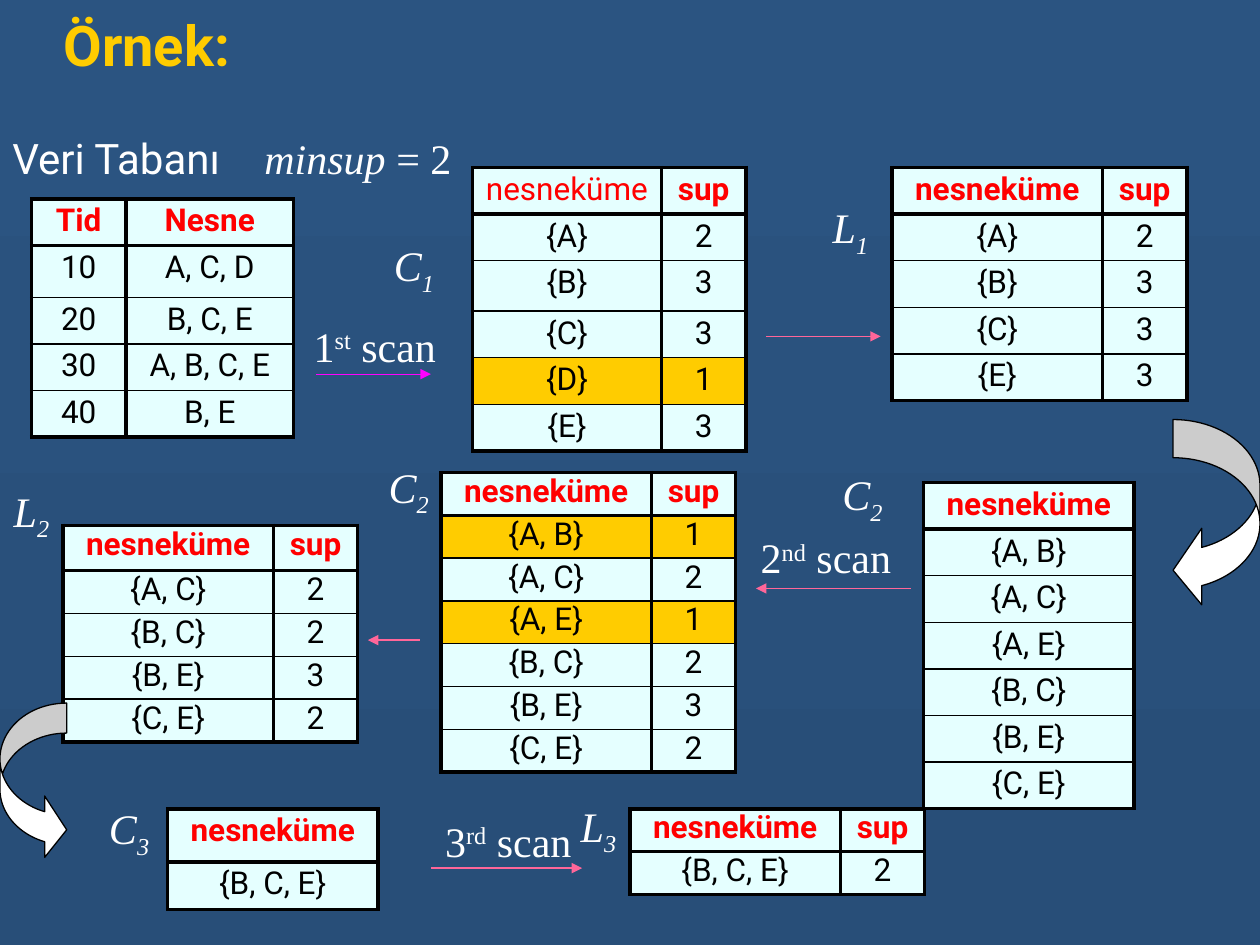
from lxml import etree
from pptx import Presentation
from pptx.dml.color import RGBColor
from pptx.enum.shapes import MSO_CONNECTOR, MSO_SHAPE
from pptx.enum.text import MSO_ANCHOR, MSO_AUTO_SIZE, PP_ALIGN
from pptx.oxml.ns import qn
from pptx.util import Inches, Pt

CENTER, LEFT = PP_ALIGN.CENTER, PP_ALIGN.LEFT
MIDDLE = MSO_ANCHOR.MIDDLE
NO_FIT, GROW = MSO_AUTO_SIZE.NONE, MSO_AUTO_SIZE.SHAPE_TO_FIT_TEXT
STRAIGHT = MSO_CONNECTOR.STRAIGHT
RIGHT_CURVE, LEFT_CURVE = MSO_SHAPE.CURVED_RIGHT_ARROW, MSO_SHAPE.CURVED_LEFT_ARROW

SANS, SERIF = "Roboto", "Times New Roman"
COLORS = {
    "top": "2B5481", "bottom": "284E78", "gold": "FFCC00", "cell": "E5FFFF",
    "header": "FF0000", "ink": "000000", "white": "FFFFFF",
    "magenta": "FF00FF", "pink": "FF6699",
}
MINSUP = 2
ITEM, SUP = 1.67, 0.67
HEADER = ("nesneküme", "sup")
PAIRS = ("{A, B}", "{A, C}", "{A, E}", "{B, C}", "{B, E}", "{C, E}")


def color(name):
    return RGBColor.from_string(COLORS[name])


def add_span(para, text, *, size=24, font=SERIF, ink="white", bold=False,
             italic=False, baseline=0):
    span = para.add_run()
    span.text = text
    span.font.size = Pt(size)
    span.font.name = font
    span.font.bold = bold
    span.font.italic = italic
    span.font.color.rgb = color(ink)
    if baseline:
        span._r.get_or_add_rPr().set("baseline", str(baseline * 1000))


def add_label(page, left, top, width, spans, *, align=CENTER, wrap=False):
    box = page.shapes.add_textbox(Inches(left), Inches(top), Inches(width), Inches(0.5))
    frame = box.text_frame
    frame.word_wrap = wrap
    frame.auto_size = GROW
    frame.vertical_anchor = MIDDLE
    para = frame.paragraphs[0]
    para.alignment = align
    for text, style in spans:
        add_span(para, text, **style)


def add_set_name(page, letter, index, left, top):
    width = 0.53 if letter == "C" else 0.5
    add_label(page, left, top, width, [
        (letter, {"italic": True}), (index, {"italic": True, "baseline": -25})])


def add_scan(page, number, ordinal, left, top, width):
    add_label(page, left, top, width, [
        (number, {}), (ordinal, {"baseline": 30}), (" scan", {})])


def add_borders(cell, row, last):
    properties = cell._tc.get_or_add_tcPr()
    widths = {
        "lnL": 2.25,
        "lnR": 2.25,
        "lnT": 2.25 if row <= 1 else 1,
        "lnB": 2.25 if row in (0, last) else 1,
    }
    for side, width in widths.items():
        line = etree.SubElement(properties, qn(f"a:{side}"), w=str(Pt(width)))
        fill = etree.SubElement(line, qn("a:solidFill"))
        etree.SubElement(fill, qn("a:srgbClr"), val=COLORS["ink"])


def add_grid(page, left, top, widths, rows, *, spacing=0.9, heights=None,
             light_headers=()):
    row_height = 0.37 if spacing == 0.9 else 0.34
    sizes = [(heights or {}).get(index, row_height) for index in range(len(rows))]
    table = page.shapes.add_table(
        len(rows), len(widths), Inches(left), Inches(top),
        Inches(sum(widths)), Inches(sum(sizes))).table
    table.first_row = table.horz_banding = False
    for column, width in zip(table.columns, widths):
        column.width = Inches(width)
    for index, (values, size) in enumerate(zip(rows, sizes)):
        table.rows[index].height = Inches(size)
        rare = values[-1].isdigit() and int(values[-1]) < MINSUP
        for place, text in enumerate(values):
            cell = table.cell(index, place)
            add_borders(cell, index, len(rows) - 1)
            cell.fill.solid()
            cell.fill.fore_color.rgb = color("gold" if rare else "cell")
            para = cell.text_frame.paragraphs[0]
            para.alignment = CENTER
            para.line_spacing = spacing
            add_span(para, text, size=18, font=SANS,
                     ink="ink" if index else "header",
                     bold=index == 0 and place not in light_headers)


def add_arrow(page, start, end, ink="pink"):
    arrow = page.shapes.add_connector(STRAIGHT, *map(Inches, start + end))
    arrow.line.color.rgb = color(ink)
    arrow.line.width = Pt(0.75)
    etree.SubElement(arrow.line._get_or_add_ln(), qn("a:tailEnd"), type="triangle")
    etree.SubElement(arrow._element.spPr, qn("a:effectLst"))


def add_curve(page, kind, bounds, adjustments):
    curve = page.shapes.add_shape(kind, *map(Inches, bounds))
    for index, value in enumerate(adjustments):
        curve.adjustments[index] = value
    curve.shadow.inherit = False
    curve.fill.solid()
    curve.fill.fore_color.rgb = color("white")
    curve.line.color.rgb = color("ink")
    curve.line.width = Pt(0.75)


def set_background(page):
    fill = page.background.fill
    fill.gradient()
    fill.gradient_angle = 270
    for stop, name in zip(fill.gradient_stops, ("top", "bottom")):
        stop.color.rgb = color(name)


def set_title(page, text):
    title = page.shapes.title
    title.left, title.top, title.width, title.height = map(Inches, (0, 0, 2.33, 0.7))
    frame = title.text_frame
    frame.auto_size = NO_FIT
    frame.vertical_anchor = MIDDLE
    para = frame.paragraphs[0]
    para.alignment = CENTER
    add_span(para, text, size=32, font=SANS, ink="gold", bold=True)


def add_tables(page):
    add_grid(page, 0.25, 1.58, (0.75, 1.33), [
        ("Tid", "Nesne"), ("10", "A, C, D"), ("20", "B, C, E"),
        ("30", "A, B, C, E"), ("40", "B, E")], heights={1: 0.41})
    add_grid(page, 3.75, 1.33, (1.5, SUP), [
        HEADER, ("{A}", "2"), ("{B}", "3"), ("{C}", "3"), ("{D}", "1"), ("{E}", "3")],
        heights={2: 0.4}, light_headers=(0,))
    add_grid(page, 7.08, 1.33, (ITEM, SUP), [
        HEADER, ("{A}", "2"), ("{B}", "3"), ("{C}", "3"), ("{E}", "3")])
    add_grid(page, 7.33, 3.83, (ITEM,), [HEADER[:1], *((pair,) for pair in PAIRS)])
    counted = list(zip(PAIRS, "121232"))
    frequent = [entry for entry in counted if int(entry[1]) >= MINSUP]
    add_grid(page, 3.5, 3.75, (ITEM, SUP), [HEADER, *counted], spacing=0.8)
    add_grid(page, 0.5, 4.17, (ITEM, SUP), [HEADER, *frequent], spacing=0.8,
             heights={0: 0.36})
    add_grid(page, 1.33, 6.42, (ITEM,), [HEADER[:1], ("{B, C, E}",)],
             heights={0: 0.42, 1: 0.38})
    add_grid(page, 5, 6.42, (ITEM, SUP), [HEADER, ("{B, C, E}", "2")], spacing=0.8)


def main():
    deck = Presentation()
    deck.slide_width, deck.slide_height = Inches(10), Inches(7.5)
    page = deck.slides.add_slide(deck.slide_layouts[5])
    set_background(page)
    set_title(page, "Örnek:")
    add_tables(page)

    add_curve(page, RIGHT_CURVE, (0, 5.58, 0.53, 1.25), (0.45, 0.92, 0.33))
    add_curve(page, LEFT_CURVE, (9.31, 3.33, 0.69, 1.5), (0.44, 0.88, 0.33))

    add_label(page, 0, 1, 2.17, [("Veri Tabanı", {"font": SANS})], align=LEFT, wrap=True)
    add_label(page, 2, 1, 1.92, [("minsup ", {"italic": True}), (f"= {MINSUP}", {})],
              align=LEFT, wrap=True)
    for letter, index, left, top in (
            ("C", "1", 3.02, 1.88), ("L", "1", 6.5, 1.58), ("C", "2", 6.58, 3.7),
            ("C", "2", 2.98, 3.64), ("L", "2", 0, 3.83), ("C", "3", 0.76, 6.35),
            ("L", "3", 4.5, 6.33)):
        add_set_name(page, letter, index, left, top)
    add_scan(page, "1", "st", 2.38, 2.49, 1.19)
    add_scan(page, "2", "nd", 5.92, 4.17, 1.27)
    add_scan(page, "3", "rd", 3.42, 6.42, 1.23)

    add_arrow(page, (2.51, 2.97), (3.42, 2.97), "magenta")
    add_arrow(page, (6.08, 2.67), (6.99, 2.67))
    add_arrow(page, (7.23, 4.67), (6, 4.67))
    add_arrow(page, (3.33, 5.08), (2.92, 5.08))
    add_arrow(page, (3.42, 6.89), (4.62, 6.89))
    deck.save("out.pptx")


if __name__ == "__main__":
    main()
